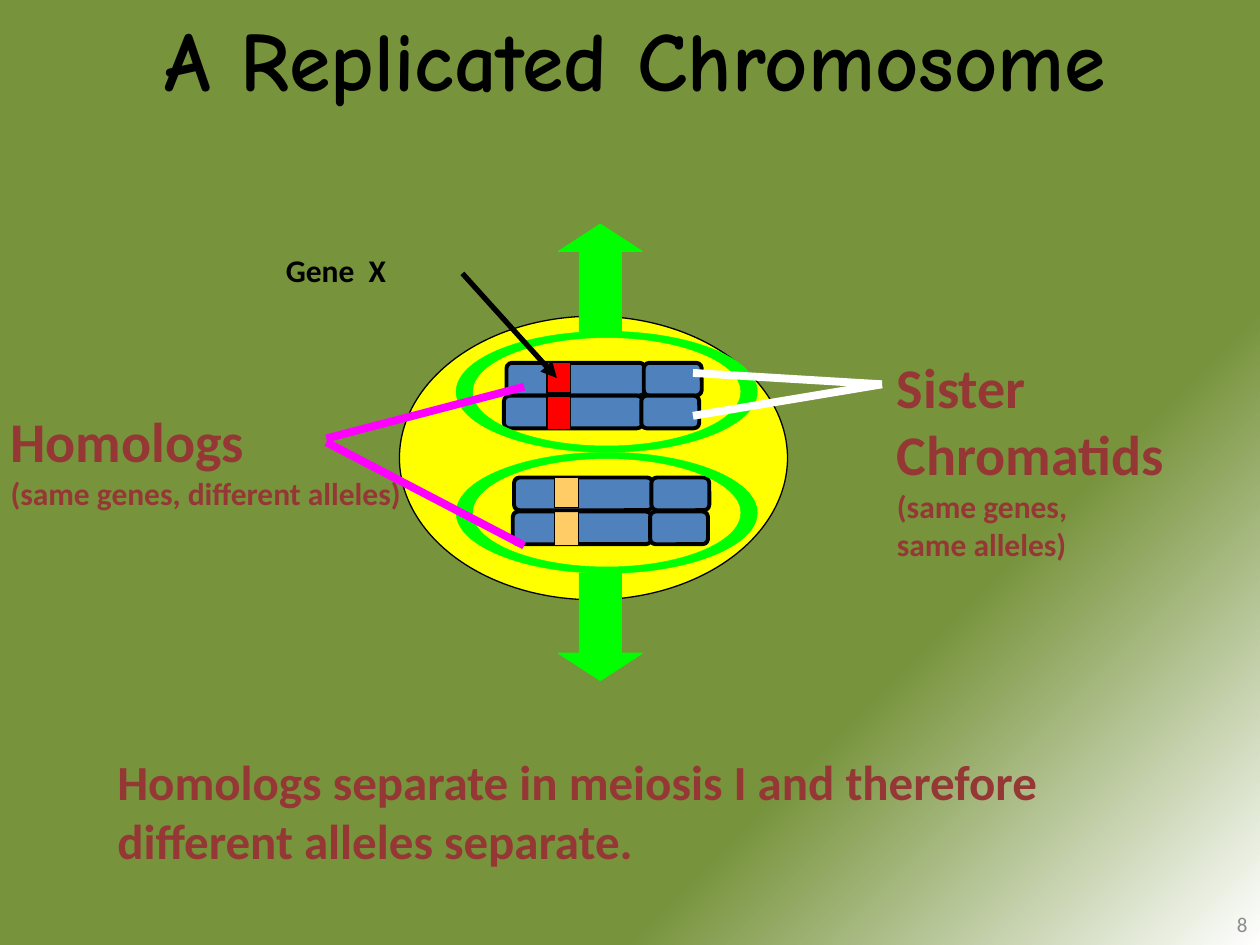
from lxml import etree
from pptx import Presentation
from pptx import util as u
from pptx.dml.color import RGBColor
from pptx.enum import shapes as sh
from pptx.enum import text as tx
from pptx.oxml import parse_xml
from pptx.oxml.ns import nsdecls, qn

HUES = {
    "olive": "77933C", "white": "FFFFFF", "black": "000000", "grey": "8C8C8C",
    "yellow": "FFFF00", "blue": "4F81BD", "red": "FF0000", "tan": "FFCC66",
    "green": "00FF00", "pink": "FF00FF", "brick": "953735",
}
RGB = {name: RGBColor.from_string(code) for name, code in HUES.items()}
KIND = sh.MSO_SHAPE
ALIGN = tx.PP_ALIGN

prs = Presentation()
prs.slide_width, prs.slide_height = u.Inches(10), u.Inches(7.5)
# The grid has 100 columns and 75 rows.
COL, ROW = prs.slide_width / 100, prs.slide_height / 75
slide = prs.slides.add_slide(prs.slide_layouts[6])


def place(kind, x, y, w, h, fill, line="black", pt=0.75):
    """Add a preset shape measured in columns and rows."""
    shape = slide.shapes.add_shape(
        kind, int(x * COL), int(y * ROW), int(w * COL), int(h * ROW))
    shape.shadow.inherit = False
    shape.fill.solid()
    shape.fill.fore_color.rgb = RGB[fill]
    shape.line.color.rgb = RGB[line]
    shape.line.width = u.Pt(pt)
    return shape


def join(x1, y1, x2, y2, hue, pt):
    """Draw a straight line between two grid points."""
    line = slide.shapes.add_connector(
        sh.MSO_CONNECTOR.STRAIGHT,
        int(x1 * COL), int(y1 * ROW), int(x2 * COL), int(y2 * ROW))
    line.line.color.rgb = RGB[hue]
    line.line.width = u.Pt(pt)
    etree.SubElement(line.element.spPr, qn("a:effectLst"))
    return line


# Background: a round gradient that spreads from the top left corner
slide.background.fill.gradient()
grad = slide.element.find(".//" + qn("a:gradFill"))
stops = "".join(
    f'<a:gs pos="{pos}"><a:srgbClr val="{HUES[hue]}"/></a:gs>'
    for pos, hue in ((71000, "olive"), (100000, "white")))
grad.getparent().replace(grad, parse_xml(
    f'<a:gradFill {nsdecls("a")} rotWithShape="1"><a:gsLst>{stops}</a:gsLst>'
    '<a:path path="circle"><a:fillToRect r="100000" b="100000"/></a:path>'
    '</a:gradFill>'))

# Cell and chromatids
place(KIND.OVAL, 31.7, 25.1, 30.8, 22.5, "yellow")
for x, y, gx, gy, gh, hue in (
        (40.2, 28.8, 43.4, 28.8, 2.4, "red"),
        (40.0, 31.4, 43.4, 31.5, 2.6, "red"),
        (40.7, 40.6, 44.0, 40.4, 2.9, "tan"),
        (40.8, 37.9, 44.0, 37.9, 2.4, "tan")):
    for dx, w in ((0, 11), (10.9, 4.6)):
        place(KIND.ROUNDED_RECTANGLE, x + dx, y, w, 2.6, "blue", pt=2.25)
    place(KIND.RECTANGLE, gx, gy, 1.9, gh, hue)

# Each half: an arrow outwards and a ring that is thicker at its sides
K = 0.55  # handle length of a quarter circle
ROUND = [(-1, 0), (-1, -K), (-K, -1), (0, -1), (K, -1), (1, -K), (1, 0),
         (1, K), (K, 1), (0, 1), (-K, 1), (-1, K), (-1, 0)]
for kind, top, mid in ((KIND.UP_ARROW, 17.8, 31.1), (KIND.DOWN_ARROW, 45.5, 40.7)):
    arrow = place(kind, 44.35, top, 6.6, 8.5, "green", "green")
    arrow.adjustments[0], arrow.adjustments[1] = 0.5, 0.325
    outer, inner = (
        [((48.15 + rx * x) * COL, (mid + ry * y) * ROW) for x, y in ROUND]
        for rx, ry in ((11.95, 4.8), (10.65, -4.3)))
    pen = slide.shapes.build_freeform(*outer[0])
    pen.add_line_segments(outer[1:])
    pen.move_to(*inner[0])
    pen.add_line_segments(inner[1:])
    ring = pen.convert_to_shape()
    # Every three straight steps become one curve.
    steps = list(ring.element.iter(qn("a:lnTo")))
    for i in range(0, len(steps), 3):
        curve = etree.Element(qn("a:cubicBezTo"))
        steps[i].addprevious(curve)
        for step in steps[i:i + 3]:
            curve.append(step[0])
            step.getparent().remove(step)
    ring.shadow.inherit = False
    ring.fill.solid()
    ring.fill.fore_color.rgb = ring.line.color.rgb = RGB["green"]
    ring.line.width = u.Pt(0.25)

# Texts: place, wrap, anchor, align, hue, font, bold, lines with sizes
TOP, MID = tx.MSO_ANCHOR.TOP, tx.MSO_ANCHOR.MIDDLE
for (x, y, w, h), wrap, anchor, align, hue, face, bold, lines in (
        ((79.2, 71.7, 20.8, 3.3), True, MID, ALIGN.RIGHT, "grey", "Calibri", False,
         [("8", 12)]),
        ((5, 0, 90.8, 9.2), True, MID, ALIGN.CENTER, "black", "Comic Neue", True,
         [("A Replicated Chromosome", 48)]),
        ((-0.15, 31.8, 38.95, 9.4), True, TOP, ALIGN.LEFT, "brick", "Calibri", True,
         [("Homologs", 32), ("(same genes, different alleles)", 18)]),
        ((70.2, 27.5, 23.5, 17.8), False, TOP, ALIGN.LEFT, "brick", "Calibri", True,
         [("Sister\vChromatids", 32), ("(same genes,", 18), ("same alleles)", 18)]),
        ((21.7, 19.4, 10.1, 4), False, TOP, ALIGN.LEFT, "black", "Calibri", True,
         [("Gene  X", 18)]),
        ((8.33, 59.15, 88.3, 10.3), True, TOP, ALIGN.LEFT, "brick", "Calibri", True,
         [("Homologs separate in meiosis I and therefore "
           "different alleles separate.", 28)])):
    box = slide.shapes.add_textbox(
        int(x * COL), int(y * ROW), int(w * COL), int(h * ROW))
    frame = box.text_frame
    frame.word_wrap, frame.vertical_anchor = wrap, anchor
    for i, (words, size) in enumerate(lines):
        para = frame.add_paragraph() if i else frame.paragraphs[0]
        para.text, para.alignment = words, align
        font = para.font
        font.name, font.size, font.bold = face, u.Pt(size), bold
        font.color.rgb = RGB[hue]

# Pointers from the labels
for ends in ((25.9, 34.8, 41.6, 30.7), (25.9, 35.1, 41.6, 43.3)):
    join(*ends, "pink", 4.5)
for y in (29.6, 33):
    join(55, y, 70, 30.5, "white", 4.5)
gene = join(36.7, 21.7, 44.2, 30, "black", 3)
etree.SubElement(gene.line._get_or_add_ln(), qn("a:tailEnd"), type="triangle")

prs.save("out.pptx")
